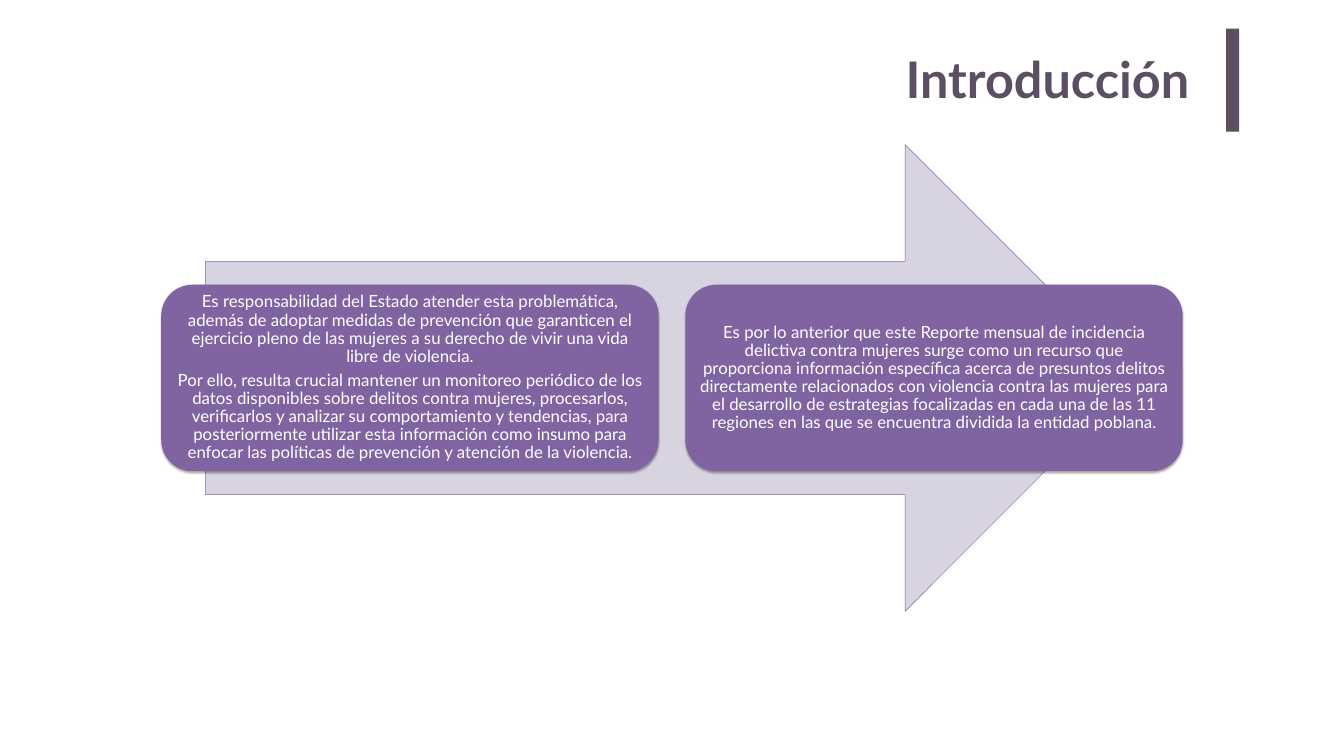
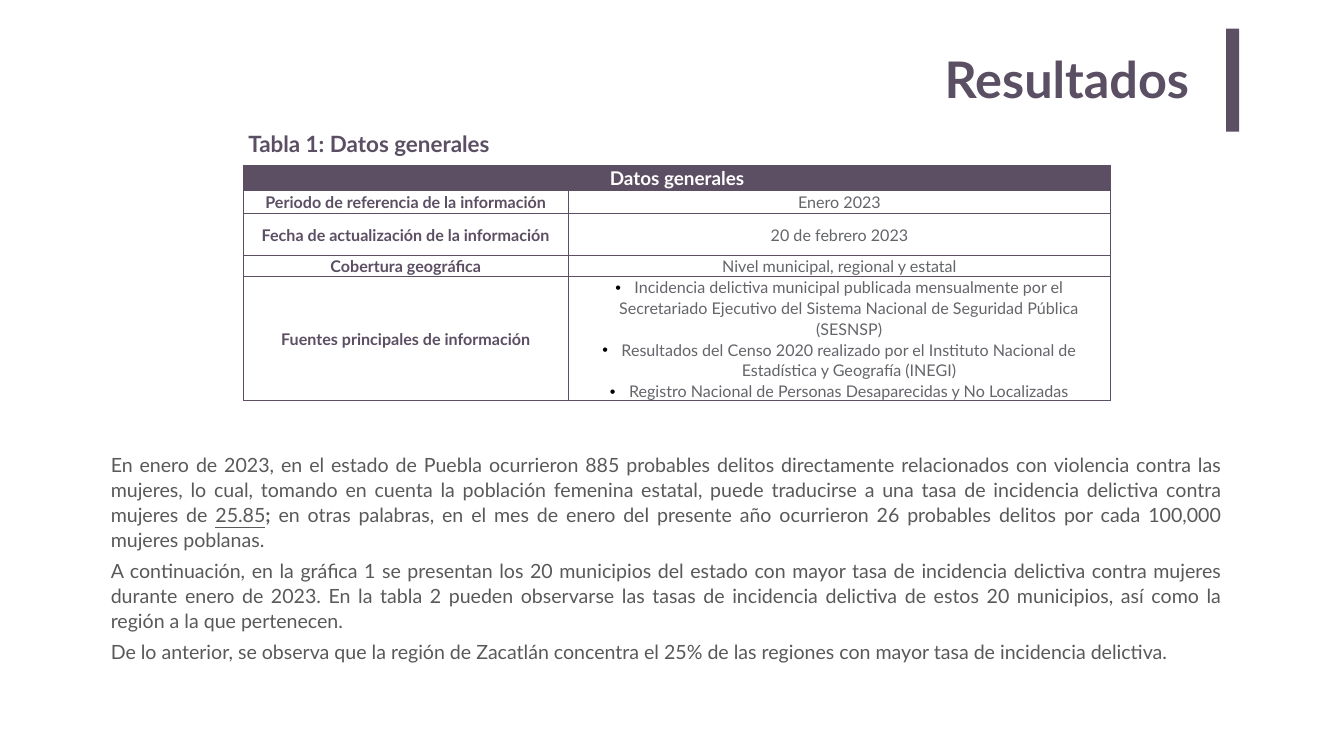
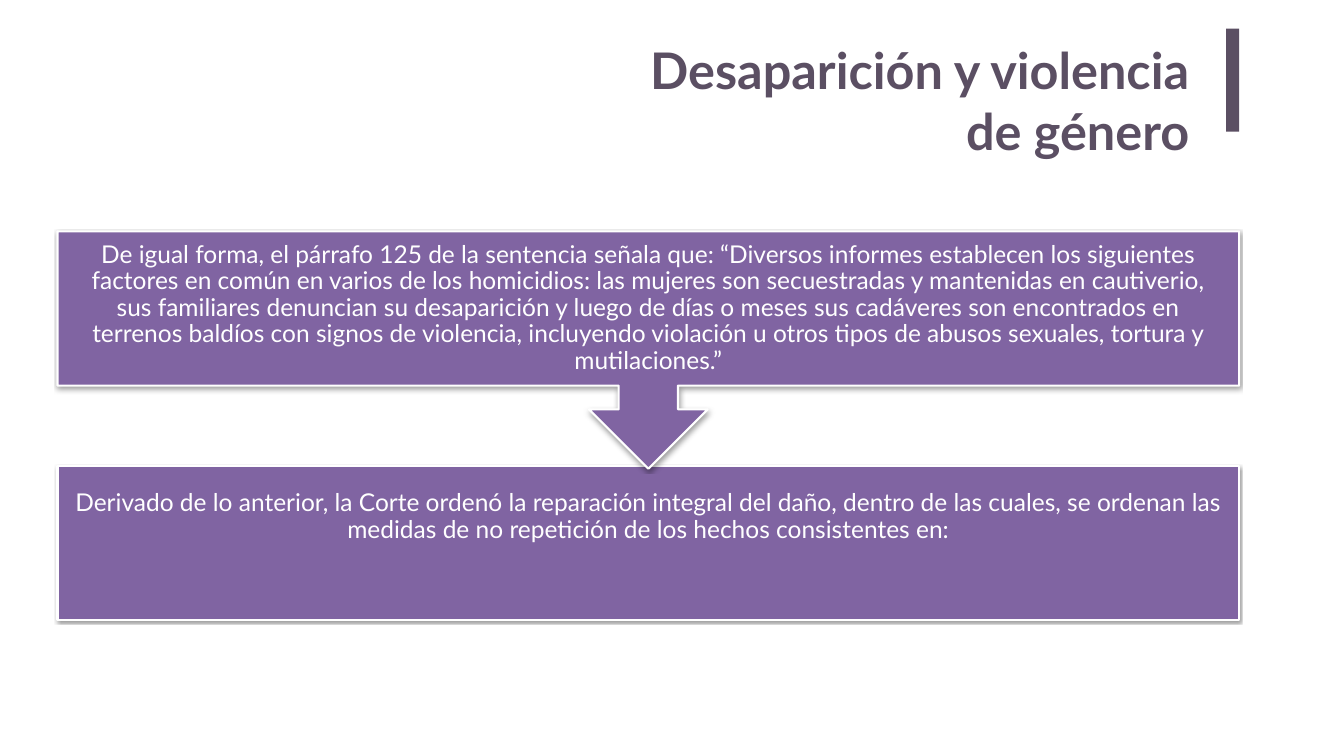
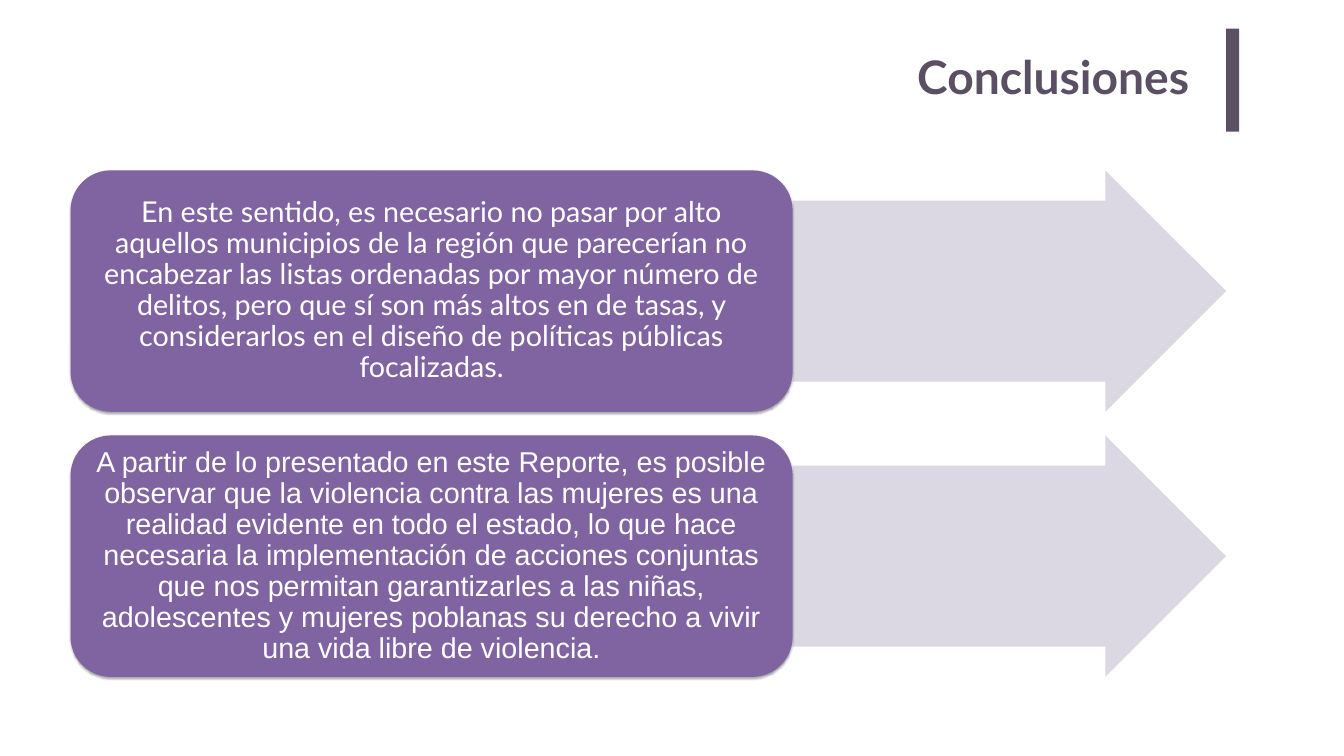
"""Build four slides of a report on violence against women."""
from dataclasses import dataclass

from lxml.etree import SubElement
from pptx import Presentation
from pptx.dml.color import RGBColor
from pptx.enum.shapes import MSO_SHAPE
from pptx.enum.text import MSO_ANCHOR, MSO_AUTO_SIZE, PP_ALIGN
from pptx.oxml.ns import qn
from pptx.util import Inches, Pt


@dataclass(frozen=True)
class Theme:
    """Colours, fonts and type sizes of the deck."""
    dark: str = "5B4F63"
    grid: str = "5C4F63"
    purple: str = "8064A2"
    pale: str = "D8D3E0"
    white: str = "FFFFFF"
    black: str = "000000"
    body: str = "595959"
    value: str = "63656A"
    font: str = "Lato"
    plain_font: str = "Arial"
    title_size: int = 72
    small_title_size: int = 66
    caption_size: int = 32
    body_size: int = 28
    card_size: int = 24
    step_size: int = 35
    conclusion_size: int = 41
    header_size: int = 27
    cell_size: int = 23


THEME = Theme()
TITLE_RIGHT = 23.8
MARGINS = ("margin_left", "margin_top", "margin_right", "margin_bottom")

RESPONSIBILITY = [
    "Es responsabilidad del Estado atender esta problemática, además de adoptar medidas de "
    "prevención que garanticen el ejercicio pleno de las mujeres a su derecho de vivir una vida "
    "libre de violencia.",
    "Por ello, resulta crucial mantener un monitoreo periódico de los datos disponibles sobre "
    "delitos contra mujeres, procesarlos, verificarlos y analizar su comportamiento y "
    "tendencias, para posteriormente utilizar esta información como insumo para enfocar las "
    "políticas de prevención y atención de la violencia.",
]
PURPOSE = [
    "Es por lo anterior que este Reporte mensual de incidencia delictiva contra mujeres surge "
    "como un recurso que proporciona información específica acerca de presuntos delitos "
    "directamente relacionados con violencia contra las mujeres para el desarrollo de "
    "estrategias focalizadas en cada una de las 11 regiones en las que se encuentra dividida la "
    "entidad poblana.",
]
GENERAL_DATA = [
    ("Periodo de referencia de la información", ["Enero 2023"]),
    ("Fecha de actualización de la información", ["20 de febrero 2023"]),
    ("Cobertura geográfica", ["Nivel municipal, regional y estatal"]),
    ("Fuentes principales de información", [
        "Incidencia delictiva municipal publicada mensualmente por el Secretariado Ejecutivo "
        "del Sistema Nacional de Seguridad Pública (SESNSP)",
        "Resultados del Censo 2020 realizado por el Instituto Nacional de Estadística y "
        "Geografía (INEGI)",
        "Registro Nacional de Personas Desaparecidas y No Localizadas",
    ]),
]
FINDINGS = [
    [
        ("En enero de 2023, en el estado de Puebla ocurrieron 885 probables delitos "
         "directamente relacionados con violencia contra las mujeres, lo cual, tomando en cuenta "
         "la población femenina estatal, puede traducirse a una tasa de incidencia delictiva "
         "contra mujeres de ", {}),
        ("25.85", {"underline": True}),
        (";", {"bold": True}),
        (" en otras palabras, en el mes de enero del presente año ocurrieron 26 probables "
         "delitos por cada 100,000 mujeres poblanas.", {}),
    ],
    "A continuación, en la gráfica 1 se presentan los 20 municipios del estado con mayor tasa de "
    "incidencia delictiva contra mujeres durante enero de 2023. En la tabla 2 pueden observarse "
    "las tasas de incidencia delictiva de estos 20 municipios, así como la región a la que "
    "pertenecen.",
    "De lo anterior, se observa que la región de Zacatlán concentra el 25% de las regiones con "
    "mayor tasa de incidencia delictiva.",
]
RULING = [
    "De igual forma, el párrafo 125 de la sentencia señala que: “Diversos informes establecen "
    "los siguientes factores en común en varios de los homicidios: las mujeres son secuestradas "
    "y mantenidas en cautiverio, sus familiares denuncian su desaparición y luego de días o "
    "meses sus cadáveres son encontrados en terrenos baldíos con signos de violencia, "
    "incluyendo violación u otros tipos de abusos sexuales, tortura y mutilaciones.”",
]
REPARATION = [
    "Derivado de lo anterior, la Corte ordenó la reparación integral del daño, dentro de las "
    "cuales, se ordenan las medidas de no repetición de los hechos consistentes en:",
]
CONCLUSIONS = [
    ("En este sentido, es necesario no pasar por alto aquellos municipios de la región que "
     "parecerían no encabezar las listas ordenadas por mayor número de delitos, pero que sí son "
     "más altos en de tasas, y considerarlos en el diseño de políticas públicas focalizadas.",
     THEME.font),
    ("A partir de lo presentado en este Reporte, es posible observar que la violencia contra las "
     "mujeres es una realidad evidente en todo el estado, lo que hace necesaria la "
     "implementación de acciones conjuntas que nos permitan garantizarles a las niñas, "
     "adolescentes y mujeres poblanas su derecho a vivir una vida libre de violencia.",
     THEME.plain_font),
]


def apply_format(target, values):
    """Set each named attribute of the target."""
    for name, value in values.items():
        setattr(target, name, value)


def set_margins(target, margins):
    """Set left, top, right and bottom margins in inches."""
    apply_format(target, dict(zip(MARGINS, map(Inches, margins))))


def font_format(size, color, bold=False, name=THEME.font):
    """Return the format values of a span of text."""
    return {"size": Pt(size), "color": color, "bold": bold, "name": name}


def write(frame, paragraphs, font, layout, bullets=False):
    """Fill a text frame; a paragraph is a string or a list of formatted spans."""
    for index, content in enumerate(paragraphs):
        para = frame.add_paragraph() if index else frame.paragraphs[0]
        apply_format(para, layout)
        if bullets:
            add_bullet(para)
        spans = [(content, {})] if isinstance(content, str) else content
        for text, changes in spans:
            span = para.add_run()
            span.text = text
            values = {**font, **changes}
            span.font.color.rgb = RGBColor.from_string(values.pop("color"))
            apply_format(span.font, values)


def add_bullet(para):
    """Give a paragraph a hanging black bullet."""
    properties = para._p.get_or_add_pPr()
    properties.set("marL", str(Inches(0.38)))
    properties.set("indent", str(-Inches(0.38)))
    color = SubElement(properties, qn("a:buClr"))
    SubElement(color, qn("a:srgbClr"), val=THEME.black)
    SubElement(properties, qn("a:buFont"), typeface=THEME.plain_font)
    SubElement(properties, qn("a:buChar"), char="•")


def add_text(page, area, paragraphs, font, layout, margins=(0.1, 0.05, 0.1, 0.05), grow=False):
    """Add a wrapping text box."""
    box = page.shapes.add_textbox(*map(Inches, area))
    frame = box.text_frame
    frame.word_wrap = True
    if grow:
        frame.auto_size = MSO_AUTO_SIZE.SHAPE_TO_FIT_TEXT
    set_margins(frame, margins)
    write(frame, paragraphs, font, layout)


def add_block(page, kind, area, fill, line=None, line_width=0.75, opacity=100):
    """Add a flat preset shape."""
    block = page.shapes.add_shape(kind, *map(Inches, area))
    block.shadow.inherit = False
    block.fill.solid()
    block.fill.fore_color.rgb = RGBColor.from_string(fill)
    if opacity < 100:
        color = block._element.spPr.find(qn("a:solidFill")).find(qn("a:srgbClr"))
        SubElement(color, qn("a:alpha"), val=str(opacity * 1000))
    if line:
        block.line.color.rgb = RGBColor.from_string(line)
        block.line.width = Pt(line_width)
    else:
        block.line.fill.background()
    return block


def add_shadow(block, distance, opacity):
    """Give a block a soft shadow straight below it."""
    effects = block._element.spPr.find(qn("a:effectLst"))
    shadow = SubElement(effects, qn("a:outerShdw"), blurRad=str(Pt(3.1)), dist=str(Pt(distance)),
                        dir="5400000", algn="ctr", rotWithShape="0")
    color = SubElement(shadow, qn("a:srgbClr"), val=THEME.black)
    SubElement(color, qn("a:alpha"), val=str(opacity * 1000))


def add_card(page, kind, area, paragraphs, size, margins, outlined=False, name=THEME.font):
    """Add a purple card with centred white text."""
    card = add_block(page, kind, area, THEME.purple, THEME.white if outlined else None, 3)
    add_shadow(card, *((1.6, 38) if outlined else (1.8, 35)))
    frame = card.text_frame
    apply_format(frame, {"word_wrap": True, "vertical_anchor": MSO_ANCHOR.MIDDLE})
    set_margins(frame, margins)
    layout = {"alignment": PP_ALIGN.CENTER, "line_spacing": 0.9, "space_after": Pt(0.35 * size)}
    write(frame, paragraphs, font_format(size, THEME.white, name=name), layout)


def add_page(deck, title, left=15.53, top=0.86, height=1.46, size=THEME.title_size):
    """Add a blank page with the vertical bar and a right-aligned title."""
    page = deck.slides.add_slide(deck.slide_layouts[6])
    add_block(page, MSO_SHAPE.RECTANGLE, (24.33, 0.57, 0.26, 2.04), THEME.dark)
    add_text(page, (left, top, TITLE_RIGHT - left, height), [title],
             font_format(size, THEME.dark, True), {"alignment": PP_ALIGN.RIGHT},
             (0.2, 0.1, 0.2, 0.1))
    return page


def fill_cell(cell, paragraphs, font, fill=None, space_after=0):
    """Draw the borders, fill and text of a table cell."""
    properties = cell._tc.get_or_add_tcPr()
    for side in ("a:lnL", "a:lnR", "a:lnT", "a:lnB"):
        border = SubElement(properties, qn(side), w=str(Pt(1)))
        color = SubElement(border, qn("a:solidFill"))
        SubElement(color, qn("a:srgbClr"), val=THEME.grid)
    if fill:
        cell.fill.solid()
        cell.fill.fore_color.rgb = RGBColor.from_string(fill)
    else:
        cell.fill.background()
    cell.vertical_anchor = MSO_ANCHOR.MIDDLE
    set_margins(cell, (0.07, 0, 0.07, 0))
    layout = {"alignment": PP_ALIGN.CENTER, "line_spacing": 1.07, "space_after": Pt(space_after)}
    write(cell.text_frame, paragraphs, font, layout, len(paragraphs) > 1)


def add_data_table(page):
    """Add the table of general data."""
    widths, heights = (6.45, 10.76), (0.49, 0.47, 0.83, 0.42, 2.09)
    area = (4.83, 3.28, sum(widths), sum(heights))
    table = page.shapes.add_table(len(heights), len(widths), *map(Inches, area)).table
    apply_format(table, {"first_row": False, "horz_banding": False})
    for column, width in zip(table.columns, widths):
        column.width = Inches(width)
    for row, height in zip(table.rows, heights):
        row.height = Inches(height)
    table.cell(0, 0).merge(table.cell(0, 1))
    fill_cell(table.cell(0, 0), ["Datos generales"],
              font_format(THEME.header_size, THEME.white, True), THEME.grid)
    for index, (label, values) in enumerate(GENERAL_DATA, 1):
        fill_cell(table.cell(index, 0), [label], font_format(THEME.cell_size, THEME.grid, True))
        fill_cell(table.cell(index, 1), values, font_format(THEME.cell_size, THEME.value),
                  space_after=8 if len(values) == 1 else 0)


def build_introduction(deck):
    """Build the page with two cards on an arrow."""
    page = add_page(deck, "Introducción")
    add_block(page, MSO_SHAPE.RIGHT_ARROW, (4.08, 2.87, 18.51, 9.26), THEME.pale, THEME.purple)
    for index, paragraphs in enumerate((RESPONSIBILITY, PURPOSE)):
        add_card(page, MSO_SHAPE.ROUNDED_RECTANGLE, (3.2 + 10.4 * index, 5.65, 9.87, 3.7),
                 paragraphs, THEME.card_size, (0.1,) * 4)


def build_results(deck):
    """Build the page with the table and the findings."""
    page = add_page(deck, "Resultados")
    add_text(page, (4.83, 2.54, 5.87, 0.64), ["Tabla 1: Datos generales"],
             font_format(THEME.caption_size, THEME.dark, True), {}, grow=True)
    add_text(page, (2.1, 8.9, 22.23, 4.33), FINDINGS, font_format(THEME.body_size, THEME.body),
             {"alignment": PP_ALIGN.JUSTIFY, "line_spacing": 1.07, "space_after": Pt(8)},
             grow=True)
    add_data_table(page)


def build_disappearance(deck):
    """Build the page where one statement leads down to the next."""
    page = add_page(deck, "Desaparición y violencia de género", left=11.49, top=0.68)
    add_card(page, MSO_SHAPE.RECTANGLE, (1.14, 9.25, 23.45, 3.06), REPARATION,
             THEME.step_size, (0.27, 0.27, 0.27, 1.32), outlined=True)
    add_card(page, MSO_SHAPE.DOWN_ARROW_CALLOUT, (1.14, 4.59, 23.45, 4.71), RULING,
             THEME.step_size, (0.27,) * 4, outlined=True)


def build_conclusions(deck):
    """Build the page with two cards, each followed by an arrow."""
    page = add_page(deck, "Conclusiones", left=2.33, height=2.04, size=THEME.small_title_size)
    for index, (text, name) in enumerate(CONCLUSIONS):
        top = 3.38 + 5.26 * index
        arrow = add_block(page, MSO_SHAPE.RIGHT_ARROW, (15.73, top, 8.6, 4.79), THEME.pale,
                          opacity=90)
        arrow.adjustments[0] = 0.75
        add_card(page, MSO_SHAPE.ROUNDED_RECTANGLE, (1.4, top, 14.33, 4.79), [text],
                 THEME.conclusion_size, (0.17, 0.09, 0.17, 0.09), name=name)


def main():
    """Build and save the deck."""
    deck = Presentation()
    apply_format(deck, {"slide_width": Inches(26.67), "slide_height": Inches(15)})
    for build in (build_introduction, build_results, build_disappearance, build_conclusions):
        build(deck)
    deck.save("out.pptx")


if __name__ == "__main__":
    main()
